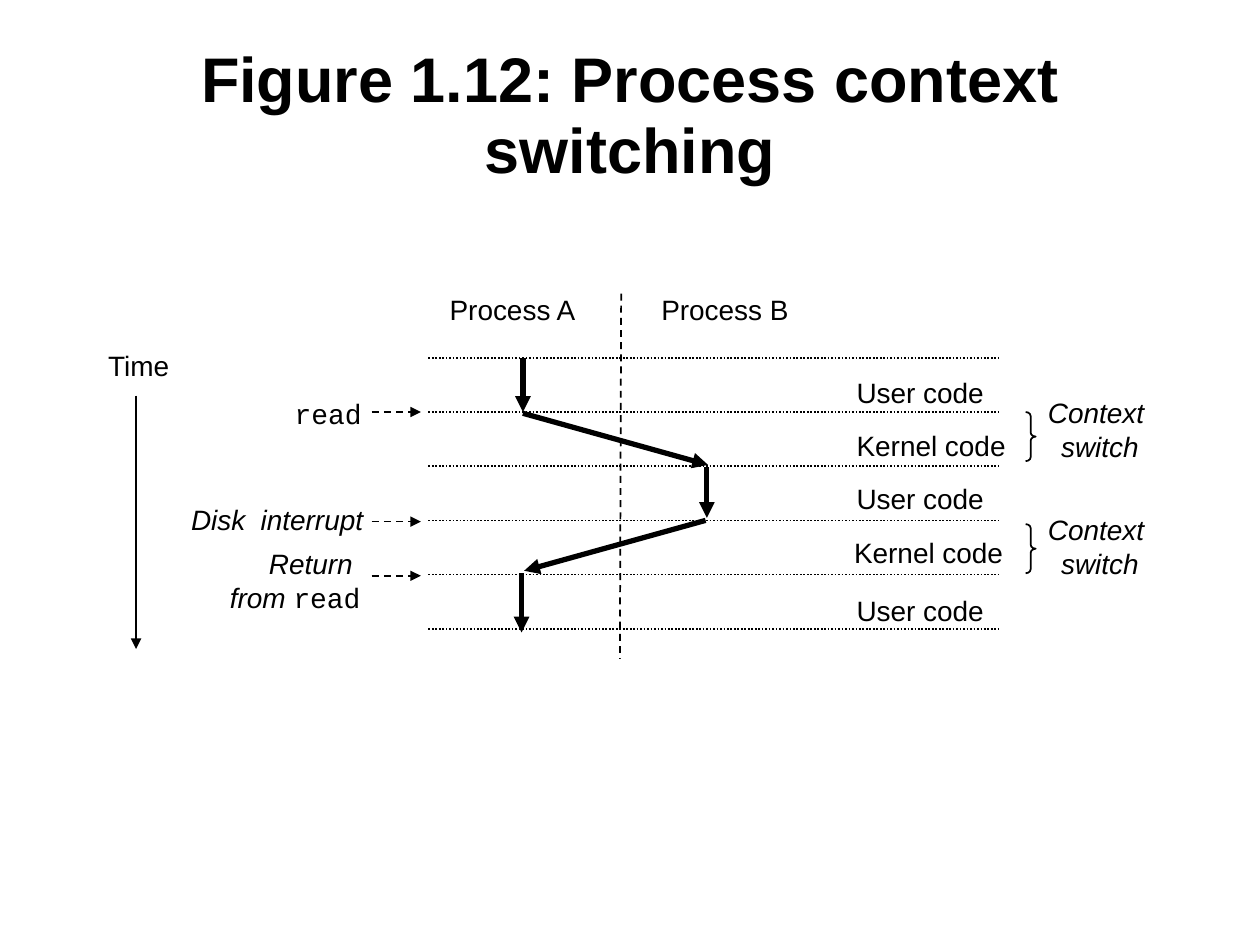
from lxml.etree import SubElement
from pptx import Presentation
from pptx.dml.color import RGBColor
from pptx.enum.dml import MSO_LINE
from pptx.enum.shapes import MSO_CONNECTOR, MSO_SHAPE
from pptx.enum.text import MSO_ANCHOR, MSO_AUTO_SIZE, PP_ALIGN
from pptx.oxml.ns import qn
from pptx.util import Inches, Pt

BLACK = RGBColor(0, 0, 0)
PLAIN, ITALIC, CODE = ("Arial", False), ("Arial", True), ("Courier New", False)
LEFT, CENTER, RIGHT = PP_ALIGN.LEFT, PP_ALIGN.CENTER, PP_ALIGN.RIGHT

TITLE = "Figure 1.12: Process context switching"
PLAIN_LABELS = [
    ("Process A", 3.47, 2.27, 1.21),
    ("Process B", 5.15, 2.27, 1.21),
    ("Time", 0.76, 2.72, 0.69),
    ("User code", 6.7, 2.93, 1.21),
    ("Kernel code", 6.7, 3.35, 1.38),
    ("User code", 6.7, 3.77, 1.21),
    ("Kernel code", 6.68, 4.2, 1.38),
    ("User code", 6.7, 4.66, 1.21),
]
EVENT_LABELS = [
    ([[("read", CODE)]], 2.24, 3.1, 0.73, LEFT),
    ([[("Disk  interrupt", ITALIC)]], 1.35, 3.94, 1.7, CENTER),
    ([[("Return ", ITALIC)], [("from ", ITALIC), ("read", CODE)]], 1.56, 4.29, 1.4, RIGHT),
]
SWITCH_LINES = [[("Context ", ITALIC)], [("switch", ITALIC)]]
SWITCHES = [(3.27, 3.09), (4.16, 4.02)]
FLOW = [
    (4.15, 2.84, 4.15, 3.27),
    (4.15, 3.28, 5.62, 3.69),
    (5.61, 3.71, 5.61, 4.11),
    (5.6, 4.13, 4.16, 4.53),
    (4.14, 4.55, 4.14, 5.02),
]
EVENT_TIMES = [3.27, 4.14, 4.57]
STEP_TOP, STEP_GAP, STEP_COUNT = 2.84, 0.43, 6


def style_span(span, size, font, italic=False, bold=False):
    span.font.size = Pt(size)
    span.font.name = font
    span.font.italic = italic
    span.font.bold = bold
    span.font.color.rgb = BLACK


def add_label(page, lines, left, top, width, align=LEFT):
    height = 0.1 + 0.27 * len(lines)
    box = page.shapes.add_textbox(Inches(left), Inches(top), Inches(width), Inches(height))
    frame = box.text_frame
    frame.word_wrap = align != LEFT
    frame.auto_size = MSO_AUTO_SIZE.SHAPE_TO_FIT_TEXT
    for index, spans in enumerate(lines):
        para = frame.paragraphs[0] if index == 0 else frame.add_paragraph()
        para.alignment = align
        for text, (font, italic) in spans:
            span = para.add_run()
            span.text = text
            style_span(span, 16, font, italic)


def add_line(page, ends, width=1, dash=None, arrow=False):
    line = page.shapes.add_connector(MSO_CONNECTOR.STRAIGHT, *map(Inches, ends))
    line.line.color.rgb = BLACK
    line.line.width = Pt(width)
    if dash is not None:
        line.line.dash_style = dash
    properties = line._element.spPr
    if arrow:
        SubElement(properties.find(qn("a:ln")), qn("a:tailEnd"), type="triangle")
    SubElement(properties, qn("a:effectLst"))


def add_brace(page, top):
    brace = page.shapes.add_shape(
        MSO_SHAPE.RIGHT_BRACE, Inches(8.14), Inches(top), Inches(0.08), Inches(0.39))
    brace.adjustments[0] = 0.4
    brace.shadow.inherit = False
    brace.fill.background()
    brace.line.color.rgb = BLACK
    brace.line.width = Pt(1)


def add_title(page):
    title = page.shapes.title
    title.left, title.top, title.width, title.height = map(Inches, (0.5, 0.3, 9, 1.25))
    frame = title.text_frame
    frame.text = TITLE
    frame.word_wrap = True
    frame.vertical_anchor = MSO_ANCHOR.MIDDLE
    para = frame.paragraphs[0]
    para.alignment = CENTER
    para.line_spacing = 0.95
    style_span(para.runs[0], 36, "Arial", bold=True)


def main():
    """Build the process context switching slide."""
    deck = Presentation()
    deck.slide_width, deck.slide_height = Inches(10), Inches(7.5)
    page = deck.slides.add_slide(deck.slide_layouts[5])
    add_title(page)

    add_line(page, (4.93, 2.33, 4.92, 5.23), dash=MSO_LINE.DASH)
    for step in range(STEP_COUNT):
        y = STEP_TOP + step * STEP_GAP
        add_line(page, (3.4, y, 7.93, y), dash=MSO_LINE.ROUND_DOT)
    for text, left, top, width in PLAIN_LABELS:
        add_label(page, [[(text, PLAIN)]], left, top, width)
    for label in EVENT_LABELS:
        add_label(page, *label)
    for brace_top, label_top in SWITCHES:
        add_brace(page, brace_top)
        add_label(page, SWITCH_LINES, 8.18, label_top, 1.1, CENTER)
    for y in EVENT_TIMES:
        add_line(page, (2.95, y, 3.34, y), dash=MSO_LINE.DASH, arrow=True)
    for ends in FLOW:
        add_line(page, ends, width=3, arrow=True)
    add_line(page, (1.08, 3.14, 1.08, 5.15), arrow=True)

    deck.save("out.pptx")


if __name__ == "__main__":
    main()
